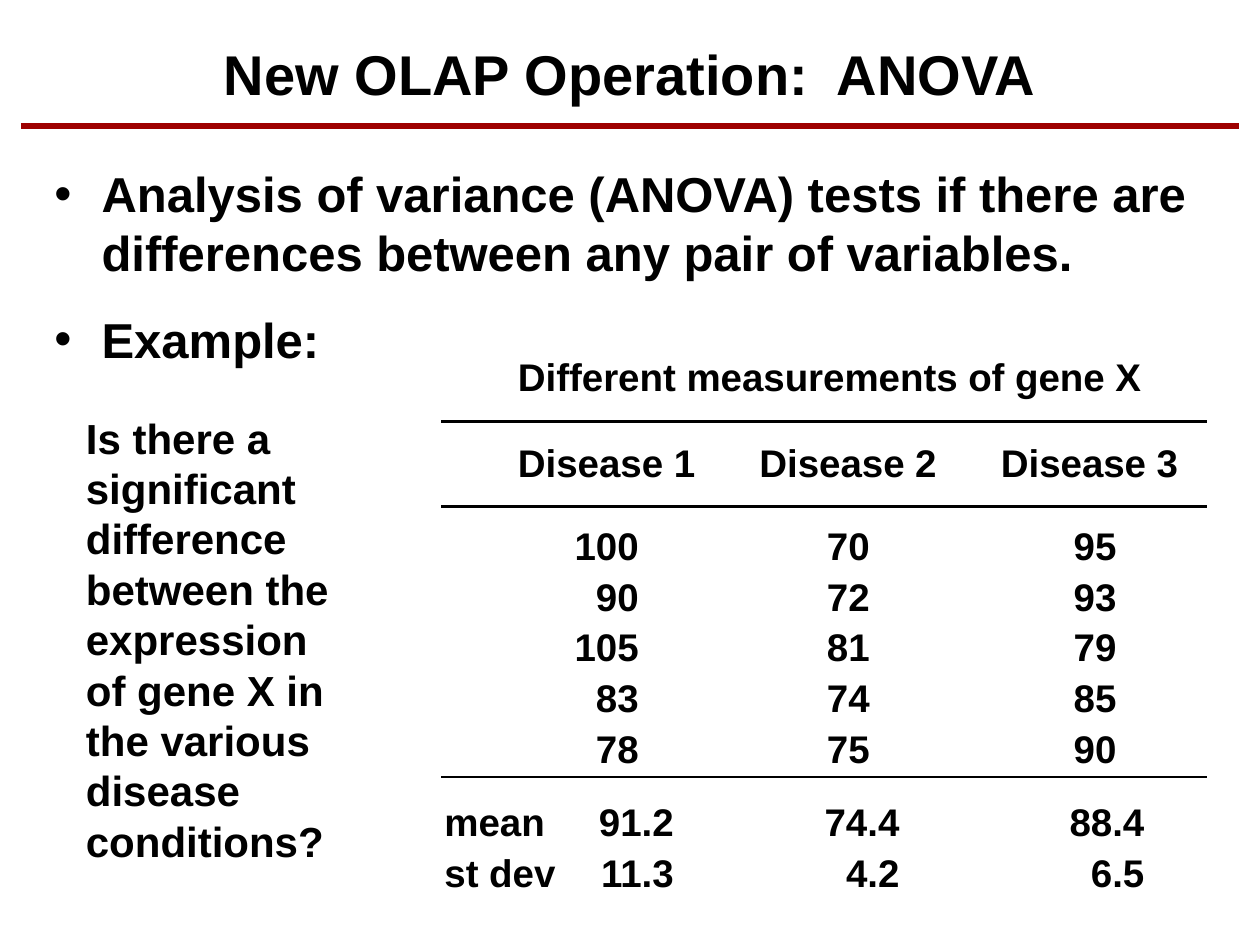
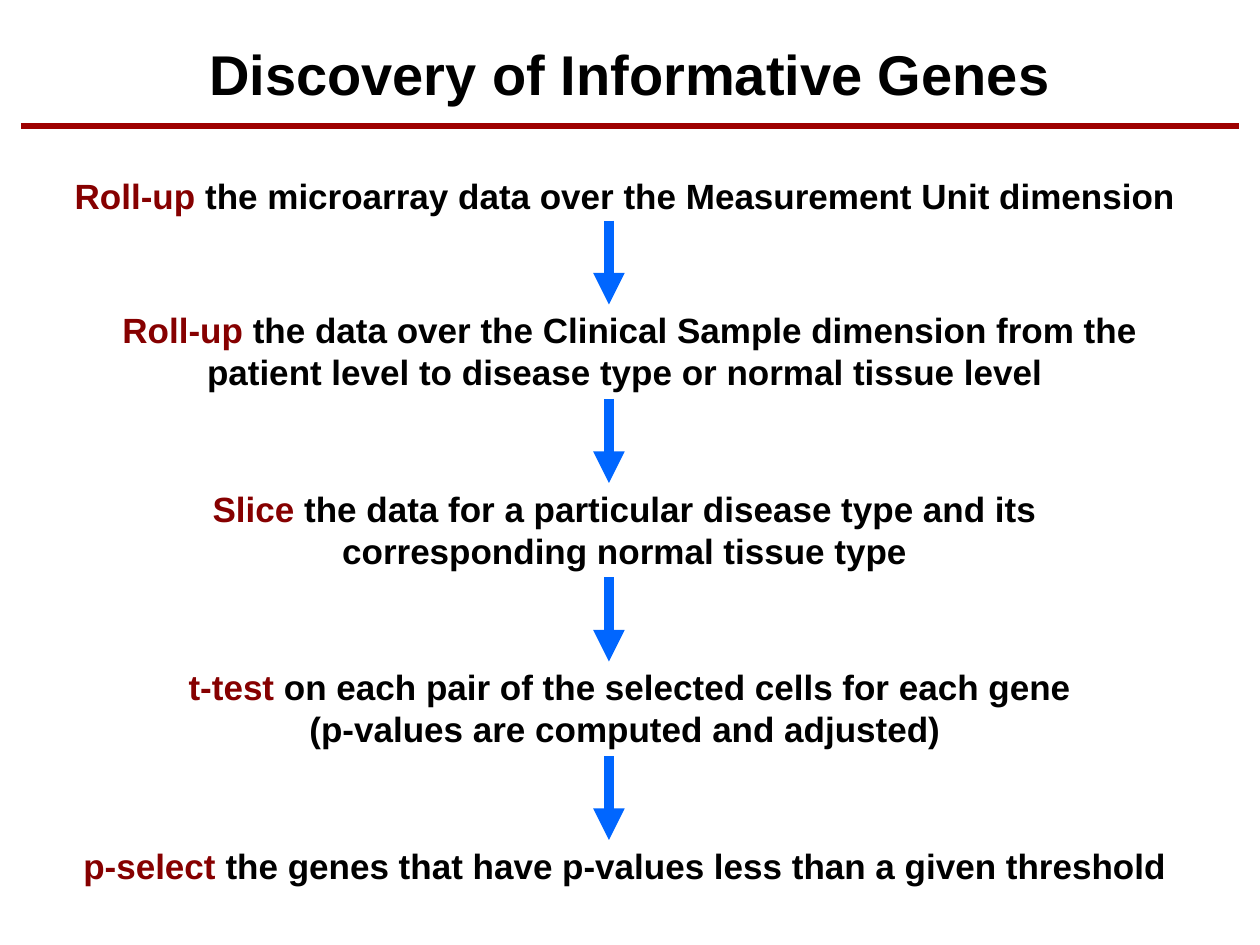
import pptx
import pptx.dml.color
import pptx.enum.shapes
import pptx.enum.text
import pptx.oxml.ns
import pptx.util
from lxml import etree

Pt = pptx.util.Pt
qn = pptx.oxml.ns.qn
ALIGN = pptx.enum.text.PP_ALIGN
ANCHOR = pptx.enum.text.MSO_ANCHOR
BLACK, RULE_RED, KEY_RED, ARROW_BLUE = "000000", "9E0000", "860000", "0066FF"
NO_STYLE = "{2D5ABB26-0587-4C30-8999-92F81FD0307C}"


def rgb(value):
    return pptx.dml.color.RGBColor.from_string(value)


class Deck:
    font = {"name": "Arial", "bold": True}
    margins = {"margin_left": 7.2, "margin_top": 3.6, "margin_right": 7.2, "margin_bottom": 3.6}

    def __init__(self, width, height):
        self.prs = pptx.Presentation()
        self.prs.slide_width, self.prs.slide_height = Pt(width), Pt(height)
        self.s = None

    def slide(self, title):
        """Start a slide with the shared title and rule."""
        self.s = self.prs.slides.add_slide(self.prs.slide_layouts[6])
        self.text(12, 18, 696, 48, [[(title, BLACK)]], 32, ALIGN.CENTER, ANCHOR.MIDDLE)
        self.line(12, 72, 708, 72, RULE_RED, 3)

    def paragraph(self, p, runs, size, align=ALIGN.LEFT):
        p.alignment = align
        for text, color in runs:
            r = p.add_run()
            r.text = text
            for key, value in {**self.font, "size": Pt(size)}.items():
                setattr(r.font, key, value)
            r.font.color.rgb = rgb(color)

    def text(self, x, y, w, h, paragraphs, size, align=ALIGN.LEFT, anchor=ANCHOR.TOP,
             gap=0, bullet=None):
        sp = self.s.shapes.add_textbox(Pt(x), Pt(y), Pt(w), Pt(h))
        tf = sp.text_frame
        tf.word_wrap, tf.vertical_anchor = True, anchor
        for key, value in self.margins.items():
            setattr(tf, key, Pt(value))
        for i, runs in enumerate(paragraphs):
            p = tf.add_paragraph() if i else tf.paragraphs[0]
            if i and gap:
                p.space_before = Pt(gap)
            if bullet:
                self.bullet(p, bullet)
            self.paragraph(p, runs, size, align)

    def bullet(self, p, indent):
        pPr = p._p.get_or_add_pPr()
        pPr.set("marL", str(Pt(indent)))
        pPr.set("indent", str(-Pt(indent)))
        etree.SubElement(pPr, qn("a:buFont"), typeface="Arial")
        etree.SubElement(pPr, qn("a:buChar"), char="•")

    def line(self, x1, y1, x2, y2, color, width, arrow=False):
        straight = pptx.enum.shapes.MSO_CONNECTOR.STRAIGHT
        sp = self.s.shapes.add_connector(straight, Pt(x1), Pt(y1), Pt(x2), Pt(y2))
        sp.line.color.rgb = rgb(color)
        sp.line.width = Pt(width)
        if arrow:
            etree.SubElement(sp.line._get_or_add_ln(), qn("a:tailEnd"), type="triangle")
        etree.SubElement(sp._element.spPr, qn("a:effectLst"))

    def table(self, x, y, widths, heights):
        sp = self.s.shapes.add_table(len(heights), len(widths), Pt(x), Pt(y),
                                     Pt(sum(widths)), Pt(sum(heights)))
        table = sp.table
        table.first_row = table.horz_banding = False
        next(sp._element.iter(qn("a:tableStyleId"))).text = NO_STYLE
        for column, width in zip(table.columns, widths):
            column.width = Pt(width)
        for row, height in zip(table.rows, heights):
            row.height = Pt(height)
        for cell in table.iter_cells():
            cell.fill.background()
            for key in self.margins:
                setattr(cell, key, 0)
        return table

    def cell(self, cell, text, size, align=ALIGN.LEFT, **layout):
        for key, value in layout.items():
            setattr(cell, key, value)
        self.paragraph(cell.text_frame.paragraphs[0], [(text, BLACK)], size, align)


def anova_slide(deck):
    deck.slide("New OLAP Operation:  ANOVA")
    points = ["Analysis of variance (ANOVA) tests if there are differences "
              "between any pair of variables.", "Example:"]
    deck.text(24, 90, 678, 137, [[(point, BLACK)] for point in points], 28, gap=16, bullet=27)
    question = ("Is there a significant difference between the expression of gene X "
                "in the various disease conditions?")
    deck.text(42, 232, 168, 266, [[(question, BLACK)]], 24)

    # Measurements: caption, headings, five values, then the summary
    size, heading_indent = 22, Pt(44)
    diseases = ["Disease 1", "Disease 2", "Disease 3"]
    rows = [("", "100", "70", "95"), ("", "90", "72", "93"), ("", "105", "81", "79"),
            ("", "83", "74", "85"), ("", "78", "75", "90"),
            ("mean", "91.2", "74.4", "88.4"), ("st dev", "11.3", "4.2", "6.5")]
    left, widths = 252, [68, 114, 138, 118]
    heights = [50, 49, 37] + [29] * 4 + [42, 29]
    table = deck.table(left, 191, widths, heights)
    table.cell(0, 0).merge(table.cell(0, 3))
    table.cell(1, 0).merge(table.cell(1, 1))
    deck.cell(table.cell(0, 0), "Different measurements of gene X", size,
              margin_left=heading_indent, vertical_anchor=ANCHOR.MIDDLE)
    for col, disease in zip((0, 2, 3), diseases):
        deck.cell(table.cell(1, col), disease, size, vertical_anchor=ANCHOR.MIDDLE,
                  margin_left=0 if col else heading_indent)

    # Units line up; the decimals of the summary stand out to the right
    value_margins, summary_margins = (69, 75, 52), (49, 58, 36)
    bottom = {"vertical_anchor": ANCHOR.BOTTOM, "margin_bottom": Pt(2)}
    for i, (label, *values) in enumerate(rows, 2):
        deck.cell(table.cell(i, 0), label, size, margin_left=Pt(2), **bottom)
        margins = summary_margins if label else value_margins
        for col, (value, margin) in enumerate(zip(values, margins), 1):
            deck.cell(table.cell(i, col), value, size, ALIGN.RIGHT,
                      margin_right=Pt(margin), **bottom)

    # Rules under the caption, the headings and the values
    for y in (241, 289.5, 444):
        deck.line(left, y, left + sum(widths), y, BLACK, 1.5)


def genes_slide(deck):
    deck.slide("Discovery of Informative Genes")
    # Steps: left and width, height, keyword, rest, second paragraph
    pitch, second_top = 102, 173
    widest, wide, narrow = (35, 650), (36, 648), (48, 618)
    steps = [
        (widest, 32, "Roll-up", " the microarray data over the Measurement Unit dimension "),
        (wide, 55, "Roll-up", " the data over the Clinical Sample dimension from the "
                              "patient level to disease type or normal tissue level "),
        (narrow, 55, "Slice", " the data for a particular disease type and its "
                              "corresponding normal tissue type"),
        (wide, 55, "t-test", " on each pair of the selected cells for each gene",
         "(p-values are computed and adjusted) "),
        (wide, 32, "p-select", " the genes that have p-values less than a given threshold "),
    ]
    for i, ((x, w), h, keyword, rest, *more) in enumerate(steps):
        y = second_top + pitch * (i - 1) if i else 96
        paragraphs = [[(keyword, KEY_RED), (rest, BLACK)]] + [[(t, BLACK)] for t in more]
        deck.text(x, y, w, h, paragraphs, 20, ALIGN.CENTER)

    # Arrows between the steps
    for i in range(len(steps) - 1):
        y = 126 + pitch * i
        deck.line(348, y, 348, y + 48, ARROW_BLUE, 6, arrow=True)


def main():
    deck = Deck(720, 540)
    anova_slide(deck)
    genes_slide(deck)
    deck.prs.save("out.pptx")


if __name__ == "__main__":
    main()
